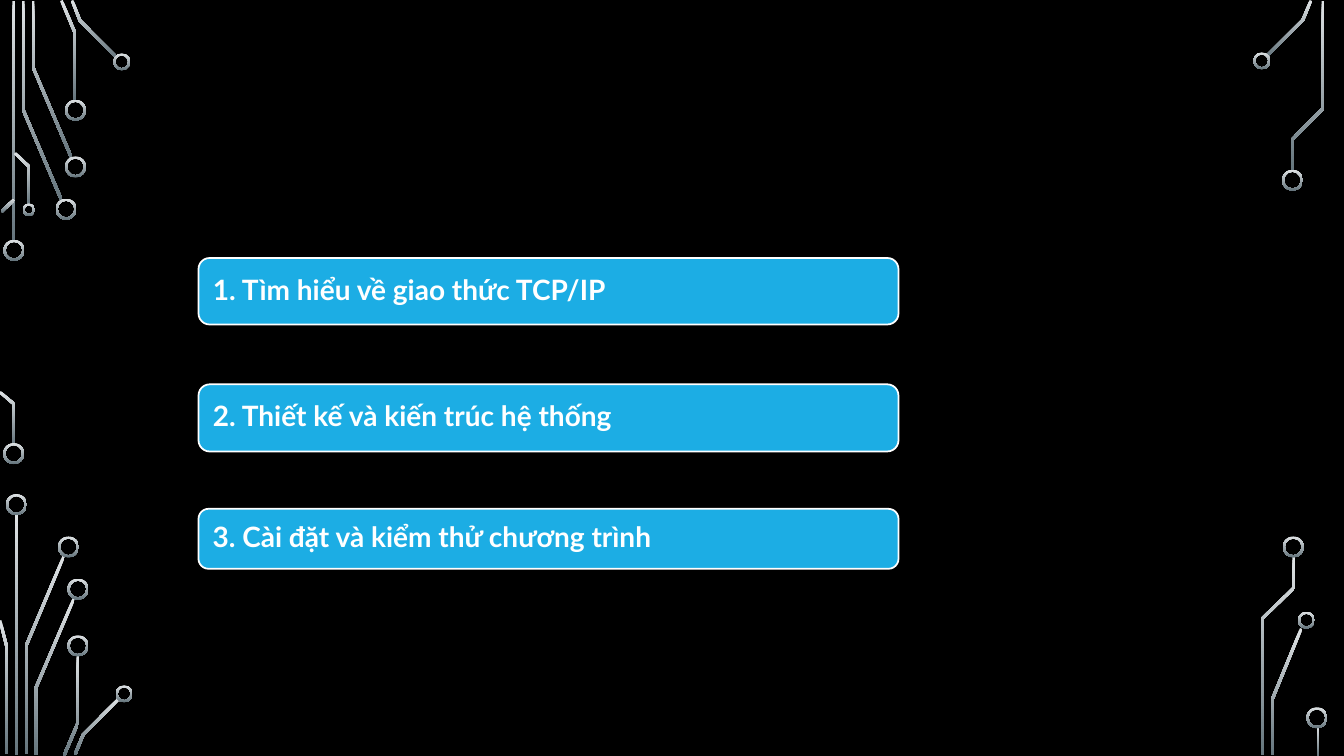
import pptx
import pptx.util
import pptx.dml.color
import pptx.enum.shapes
import pptx.enum.text

Pt = pptx.util.Pt
RGBColor = pptx.dml.color.RGBColor
Kind = pptx.enum.shapes.MSO_SHAPE

BLACK = RGBColor(0x00, 0x00, 0x00)
WHITE = RGBColor(0xFF, 0xFF, 0xFF)
BLUE = RGBColor(0x1C, 0xAD, 0xE4)
SILVER = RGBColor(0xDF, 0xE3, 0xE5)
SLATE = RGBColor(0x65, 0x75, 0x7D)

CARDS = [
    ("1. Tìm hiểu về giao thức TCP/IP", 184.3, 47.5),
    ("2. Thiết kế và kiến trúc hệ thống", 274.5, 48),
    ("3. Cài đặt và kiểm thử chương trình", 363.5, 42.8),
]
LEFT, WIDTH = 141.8, 500

TRACES = [
    [(9.9, 0.7), (9.9, 172.8)],
    [(16.6, 0.7), (16.6, 78.5), (44, 143)],
    [(23.6, 0.7), (23.6, 48), (51.1, 112.7)],
    [(43.9, 0.4), (53.7, 23.8), (53.7, 72)],
    [(51.5, 0.4), (57.2, 14.8), (83.2, 41)],
    [(10.1, 142.6), (1.1, 151.2)],
    [(0, 280.1), (10.1, 288.7), (10.1, 317.5)],
    [(10.8, 109.4), (20.9, 119.2), (20.9, 146.2)],
    [(11.7, 367.2), (11.7, 539.3)],
    [(45.7, 397.1), (18.6, 461.5), (18.6, 538.6)],
    [(0, 443.2), (4.7, 461.5), (4.7, 538.6)],
    [(52.9, 427.3), (25.6, 491.4), (25.6, 539.3)],
    [(55.8, 468), (55.8, 516.2), (45.7, 539.8)],
    [(85, 499), (59.4, 524.9), (53.6, 538.9)],
    [(936.4, 0.4), (930.6, 14.4), (905, 40)],
    [(945, 0.7), (945, 77.4), (923, 99.7), (923, 121.7)],
    [(929.5, 449), (909, 499), (909, 539.3)],
    [(924.1, 397.4), (924.1, 420.1), (901.8, 441.7), (901.8, 539.3)],
    [(941.4, 519.1), (941.4, 539.3)],
]
THICK = 2

RINGS = {
    15: [
        (10, 178.8), (9.8, 324), (47.2, 149.4), (53.9, 119.2), (53.9, 78.7),
        (11.7, 360.4), (48.9, 390.7), (55.7, 420.8), (55.7, 461.3),
        (923.2, 128.7), (923.8, 390.7), (940.7, 512.7),
    ],
    12.2: [(87, 44.2), (88.7, 495.6), (901.3, 43.5), (933.2, 443)],
    9: [(20.6, 149.8)],
}
RIM = 1.5


def tint(shape):
    shape.shadow.inherit = False
    shape.line.fill.background()
    shape.fill.gradient()
    shape.fill.gradient_angle = 270
    for stop, color in zip(shape.fill.gradient_stops, (SILVER, SLATE)):
        stop.color.rgb = color


def band(points):
    spots = [complex(*p) for p in points]
    sides = [1j * (b - a) / abs(b - a) for a, b in zip(spots, spots[1:])]
    shifts = []
    for one, two in zip(sides[:1] + sides, sides + sides[-1:]):
        dot = (one * two.conjugate()).real
        shifts.append((one + two) / (1 + dot) * THICK / 2)
    near = [p + s for p, s in zip(spots, shifts)]
    far = [p - s for p, s in zip(spots, shifts)]
    return [(Pt(p.real), Pt(p.imag)) for p in near + far[::-1]]


def main():
    deck = pptx.Presentation()
    deck.slide_width, deck.slide_height = Pt(960), Pt(540)
    slide = deck.slides.add_slide(deck.slide_layouts[6])
    slide.background.fill.solid()
    slide.background.fill.fore_color.rgb = BLACK
    shapes = slide.shapes

    for trace in TRACES:
        first, *rest = band(trace)
        path = shapes.build_freeform(*first, scale=1.0)
        path.add_line_segments(rest, close=True)
        tint(path.convert_to_shape())

    for size, spots in RINGS.items():
        for x, y in spots:
            ring = shapes.add_shape(
                Kind.DONUT, Pt(x - size / 2), Pt(y - size / 2), Pt(size), Pt(size))
            ring.adjustments[0] = RIM / size
            tint(ring)

    frame = {
        "margin_left": Pt(8), "margin_right": Pt(8),
        "margin_top": Pt(3), "margin_bottom": Pt(3),
        "word_wrap": True, "vertical_anchor": pptx.enum.text.MSO_ANCHOR.MIDDLE,
    }
    style = {"name": "Lato", "size": Pt(20), "bold": True}
    for text, top, height in CARDS:
        card = shapes.add_shape(
            Kind.ROUNDED_RECTANGLE, Pt(LEFT), Pt(top), Pt(WIDTH), Pt(height))
        card.shadow.inherit = False
        card.fill.solid()
        card.fill.fore_color.rgb = BLUE
        card.line.color.rgb = WHITE
        card.line.width = Pt(1.25)
        for key, value in frame.items():
            setattr(card.text_frame, key, value)
        para = card.text_frame.paragraphs[0]
        para.alignment = pptx.enum.text.PP_ALIGN.LEFT
        para.line_spacing = 0.9
        run = para.add_run()
        run.text = text
        for key, value in style.items():
            setattr(run.font, key, value)
        run.font.color.rgb = WHITE

    deck.save("out.pptx")


if __name__ == "__main__":
    main()
